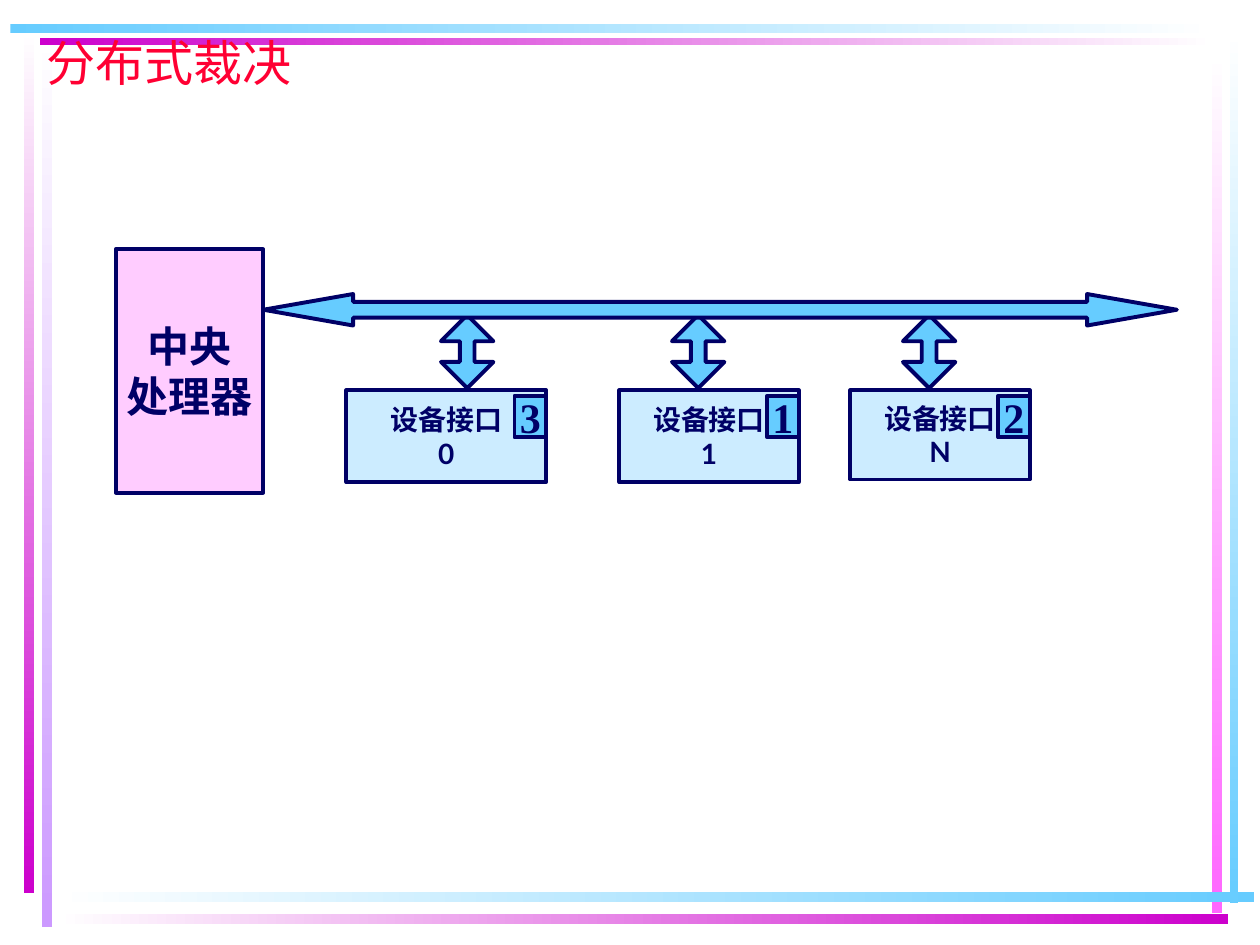
from lxml import etree
from pptx import Presentation
from pptx.dml.color import RGBColor
from pptx.enum import shapes, text
from pptx.oxml import ns
from pptx.util import Pt

SHAPE = shapes.MSO_SHAPE
NAVY, SKY, MAGENTA, WHITE = "000066", "66CCFF", "CC00CC", "FFFFFF"
CJK_FONT = "Noto Sans CJK SC"


def color(hex_value):
    return RGBColor.from_string(hex_value)


def write_text(shape, lines, *, size, font, ink=NAVY, bold=True, wrap=False,
               align=text.PP_ALIGN.CENTER, anchor=text.MSO_ANCHOR.MIDDLE):
    frame = shape.text_frame
    frame.word_wrap = wrap
    frame.auto_size = text.MSO_AUTO_SIZE.NONE
    frame.vertical_anchor = anchor
    frame.margin_left = frame.margin_right = Pt(7.2)
    frame.margin_top = frame.margin_bottom = Pt(3.6)
    for index, line in enumerate(lines):
        paragraph = frame.add_paragraph() if index else frame.paragraphs[0]
        paragraph.alignment = align
        run = paragraph.add_run()
        run.text = line
        run.font.size, run.font.bold, run.font.name = Pt(size), bold, font
        run.font.color.rgb = color(ink)
        # East Asian typeface
        properties = run.font._element
        etree.SubElement(properties, ns.qn("a:ea"), typeface=CJK_FONT)


def add_part(slide, kind, box, fill=SKY, adjustments=()):
    shape = slide.shapes.add_shape(kind, *map(Pt, box))
    shape.shadow.inherit = False
    shape.fill.solid()
    shape.fill.fore_color.rgb = color(fill)
    shape.line.color.rgb = color(NAVY)
    shape.line.width = Pt(2.25)
    for index, value in enumerate(adjustments):
        shape.adjustments[index] = value
    return shape


def add_bar(slide, box, start, end):
    """Gradient bar running along its longer side."""
    bar = slide.shapes.add_shape(SHAPE.RECTANGLE, *map(Pt, box))
    bar.shadow.inherit = False
    bar.line.fill.background()
    bar.fill.gradient()
    bar.fill.gradient_angle = 0 if box[2] > box[3] else 270
    for stop, hex_value in zip(bar.fill.gradient_stops, (start, end)):
        stop.color.rgb = color(hex_value)


def add_frame(slide):
    # Left pair
    add_bar(slide, (23.8, 20.2, 5.8, 509.8), WHITE, "CC99FF")
    add_bar(slide, (13.7, 18, 5.8, 492.5), WHITE, MAGENTA)
    # Right pair
    add_bar(slide, (702.7, 17.3, 5, 499), WHITE, SKY)
    add_bar(slide, (692.6, 30.2, 6, 491.8), WHITE, "FF66FF")
    # Bottom pair
    add_bar(slide, (32.4, 509.8, 684, 5.8), WHITE, SKY)
    add_bar(slide, (32.4, 522, 669.6, 5.8), WHITE, MAGENTA)
    # Top pair
    add_bar(slide, (23, 21.6, 671, 4.3), MAGENTA, WHITE)
    add_bar(slide, (6, 13.7, 688.3, 5), SKY, WHITE)


def add_title(slide, box, title_text):
    title = slide.shapes.title
    title.left, title.top, title.width, title.height = map(Pt, box)
    write_text(title, [title_text], size=28, font=CJK_FONT, ink="FF0033",
               bold=False, wrap=True, align=text.PP_ALIGN.LEFT,
               anchor=text.MSO_ANCHOR.TOP)
    # Keep the title above the frame bars
    title.element.getparent().append(title.element)


def add_processor(slide, box):
    processor = add_part(slide, SHAPE.RECTANGLE, box, "FFCCFF")
    write_text(processor, ["中央", "处理器"], size=24, font="Lato")


def add_device(slide, box, link_center, label, priority):
    left, top, width, height = box
    interface = add_part(slide, SHAPE.FLOWCHART_PROCESS, box, "CCECFF")
    write_text(interface, ["设备接口", label], size=16, font="Lato")
    # Link up to the bus
    add_part(slide, SHAPE.UP_DOWN_ARROW,
             (link_center - 15, top - 43, 30, 41.8), adjustments=(0.5, 0.28))
    # Priority badge in the top right corner
    badge = add_part(slide, SHAPE.RECTANGLE,
                     (left + width - 18, top + 3.2, 18, 23.8))
    write_text(badge, [priority], size=24, font="Times New Roman")


def add_bus(slide, box):
    add_part(slide, SHAPE.LEFT_RIGHT_ARROW, box, adjustments=(0.5, 2.85))


def main():
    presentation = Presentation()
    presentation.slide_width, presentation.slide_height = Pt(720), Pt(540)
    slide = presentation.slides.add_slide(presentation.slide_layouts[5])

    add_frame(slide)
    add_title(slide, (19.4, 15, 648, 67.7), "分布式裁决")
    add_processor(slide, (66.2, 142.5, 84.2, 139))
    devices = [
        ((198, 223, 114, 52.6), 267, "0", "3"),
        ((354, 223, 102.4, 52.6), 399, "1", "1"),
        ((486, 223, 102.4, 51), 531, "N", "2"),
    ]
    for device in devices:
        add_device(slide, *device)
    add_bus(slide, (150.5, 168, 522, 18))

    presentation.save("out.pptx")


if __name__ == "__main__":
    main()
